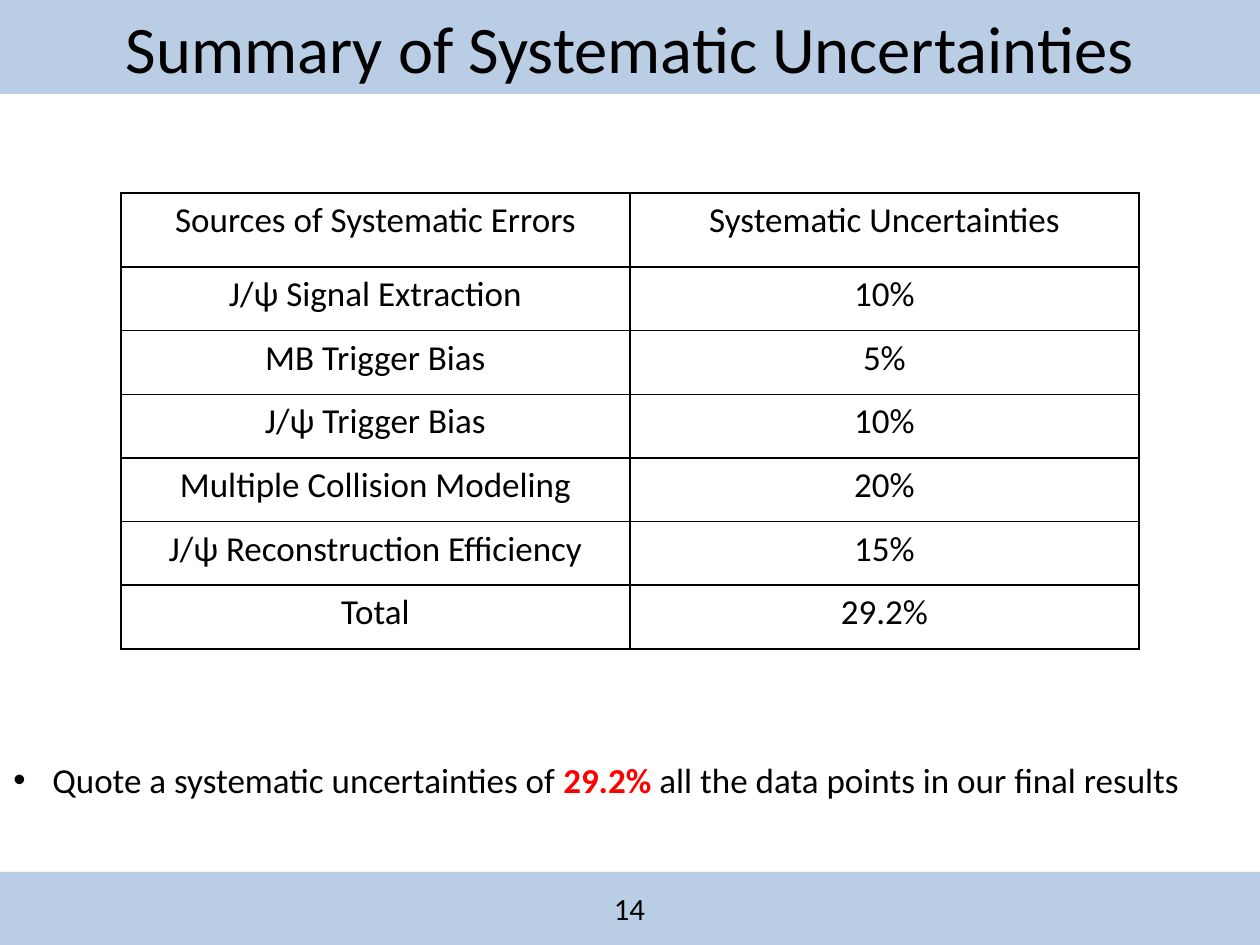
from lxml import etree
from pptx import Presentation
from pptx import util as u
from pptx.dml.color import RGBColor
from pptx.enum import shapes, text
from pptx.oxml import parse_xml
from pptx.oxml.ns import nsdecls, qn

COLORS = {"band": "B9CDE5", "ink": "000000", "accent": "FF0000"}
FONT = "Calibri"
ROWS = [
    ("Sources of Systematic Errors", "Systematic Uncertainties"),
    ("J/ψ Signal Extraction", "10%"),
    ("MB Trigger Bias", "5%"),
    ("J/ψ Trigger Bias", "10%"),
    ("Multiple Collision Modeling", "20%"),
    ("J/ψ Reconstruction Efficiency", "15%"),
    ("Total", "29.2%"),
]
CONCLUSION = [
    ("Quote a systematic uncertainties of ", "ink"),
    ("29.2%", "accent"),
    (" all the data points in our final results", "ink"),
]


def px(count):
    """Turn whole pixels into EMU at 126 px to the inch."""
    return u.Emu(round(count * u.Inches(1) / 126))


def style_span(span, size, color="ink", bold=False):
    """Set the font of one run."""
    span.font.name = FONT
    span.font.size = u.Pt(size)
    span.font.bold = bold
    span.font.color.rgb = RGBColor.from_string(COLORS[color])


def center_text(frame, words, size):
    """Fill a text frame with one centred line."""
    frame.text = words
    para = frame.paragraphs[0]
    para.alignment = text.PP_ALIGN.CENTER
    style_span(para.runs[0], size)


def add_band(page, box, words, size):
    """Draw a coloured band with a centred line of text."""
    band = page.shapes.add_shape(shapes.MSO_SHAPE.RECTANGLE, *map(px, box))
    band.shadow.inherit = False
    band.fill.solid()
    band.fill.fore_color.rgb = RGBColor.from_string(COLORS["band"])
    band.line.fill.background()
    band.text_frame.word_wrap = True
    band.text_frame.vertical_anchor = text.MSO_ANCHOR.MIDDLE
    center_text(band.text_frame, words, size)


def add_borders(cell):
    """Give a cell a thin line on all four sides."""
    properties = cell._tc.get_or_add_tcPr()
    for side in ("lnL", "lnR", "lnT", "lnB"):
        properties.append(parse_xml(
            f'<a:{side} {nsdecls("a")} w="{u.Pt(1)}"><a:solidFill>'
            f'<a:srgbClr val="{COLORS["ink"]}"/></a:solidFill></a:{side}>'
        ))


def add_error_table(page, box, header_height):
    """Draw the table of error sources, with equal rows below the header."""
    left, top, width, height = box
    table = page.shapes.add_table(len(ROWS), len(ROWS[0]), *map(px, box)).table
    table.first_row = False
    table.horz_banding = False
    for column in table.columns:
        column.width = px(width / len(ROWS[0]))
    body_height = (height - header_height) / (len(ROWS) - 1)
    for index, (row, entries) in enumerate(zip(table.rows, ROWS)):
        row.height = px(body_height if index else header_height)
        for cell, words in zip(row.cells, entries):
            add_borders(cell)
            cell.fill.background()
            center_text(cell.text_frame, words, 20)


def add_conclusion(page, box):
    """Write the bulleted closing statement."""
    frame = page.shapes.add_textbox(*map(px, box)).text_frame
    frame.word_wrap = True
    frame.auto_size = text.MSO_AUTO_SIZE.SHAPE_TO_FIT_TEXT
    para = frame.paragraphs[0]
    for words, color in CONCLUSION:
        span = para.add_run()
        span.text = words
        style_span(span, 20, color, bold=color == "accent")
    properties = para._p.get_or_add_pPr()
    properties.set("marL", str(px(39)))
    properties.set("indent", str(-px(39)))
    etree.SubElement(properties, qn("a:buFont"), typeface="Arial")
    etree.SubElement(properties, qn("a:buChar"), char="•")


def main():
    """Build the slide and save it."""
    deck = Presentation()
    deck.slide_width, deck.slide_height = px(1260), px(945)
    page = deck.slides.add_slide(deck.slide_layouts[6])
    add_band(page, (0, 0, 1260, 94), "Summary of Systematic Uncertainties", 38)
    add_band(page, (-1, 872, 1261, 73), "14", 17.6)
    add_error_table(page, (121, 193, 1018, 456), 74)
    add_conclusion(page, (1, 752, 1260, 55))
    deck.save("out.pptx")


if __name__ == "__main__":
    main()
